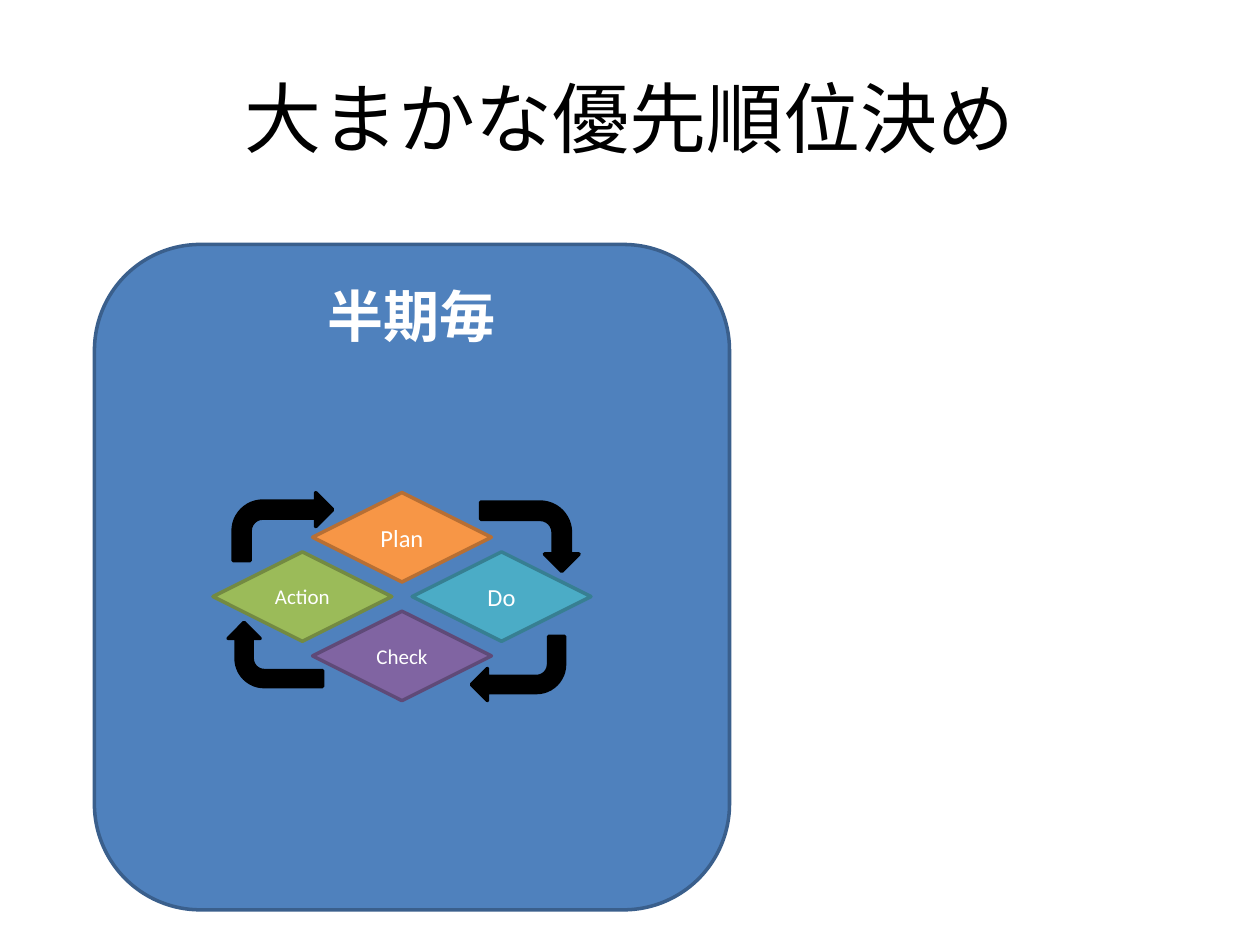
"""Build a slide showing a half-yearly PDCA cycle."""
from pptx import Presentation
from pptx.dml.color import RGBColor
from pptx.enum.shapes import MSO_SHAPE
from pptx.enum.text import MSO_ANCHOR, PP_ALIGN
from pptx.util import Pt

PANEL = MSO_SHAPE.ROUNDED_RECTANGLE
STEP = MSO_SHAPE.FLOWCHART_DECISION
ARROW = MSO_SHAPE.BENT_ARROW
TOP, MIDDLE = MSO_ANCHOR.TOP, MSO_ANCHOR.MIDDLE
CENTER = PP_ALIGN.CENTER

TITLE = "大まかな優先順位決め"
PERIOD = "半期毎"
STEPS = [
    ("Plan", 14, "F79646", "B76F34", 0, -1),
    ("Do", 14, "4BACC6", "377F92", 1, 0),
    ("Check", 12, "8064A2", "5F4A78", 0, 1),
    ("Action", 12, "9BBB59", "738A42", -1, 0),
]
ARROWS = [
    (133.2, 281.5, 56.9, 38.9),
    (283, 278.6, 39.6, 56.2),
    (269.3, 363.6, 53.3, 36.7),
    (139, 347, 36.7, 54),
]
MID_X, MID_Y = 229.7, 340.9
STEP_W, STEP_H = 102.2, 51.1
GAP_X, GAP_Y = 56.9, 33.9


def color(text):
    return RGBColor.from_string(text)


def write(shape, text, size, ink, anchor, bold=False):
    frame = shape.text_frame
    frame.word_wrap = True
    frame.vertical_anchor = anchor
    para = frame.paragraphs[0]
    para.text = text
    para.alignment = CENTER
    font = para.font
    font.name, font.size, font.bold = "Calibri", Pt(size), bold
    font.color.rgb = color(ink)


def draw(slide, kind, box, fill, edge):
    shape = slide.shapes.add_shape(kind, *map(Pt, box))
    shape.shadow.inherit = False
    shape.fill.solid()
    shape.fill.fore_color.rgb = color(fill)
    shape.line.color.rgb = color(edge)
    shape.line.width = Pt(2)
    return shape


def main():
    deck = Presentation()
    deck.slide_width, deck.slide_height = Pt(720), Pt(540)
    slide = deck.slides.add_slide(deck.slide_layouts[5])

    title = slide.shapes.title
    title.left, title.top, title.width, title.height = map(Pt, (36, 21.6, 648, 90))
    write(title, TITLE, 44, "000000", MIDDLE)

    panel = draw(slide, PANEL, (54, 139.7, 362.9, 380.2), "4F81BD", "3A5F8C")
    write(panel, PERIOD, 32, "FFFFFF", TOP, True)

    for text, size, fill, edge, col, row in STEPS:
        left = MID_X + col * GAP_X - STEP_W / 2
        top = MID_Y + row * GAP_Y - STEP_H / 2
        step = draw(slide, STEP, (left, top, STEP_W, STEP_H), fill, edge)
        frame = step.text_frame
        frame.margin_left = frame.margin_right = 0
        frame.margin_top = frame.margin_bottom = 0
        write(step, text, size, "FFFFFF", MIDDLE)

    for turn, box in enumerate(ARROWS):
        arrow = draw(slide, ARROW, box, "000000", "000000")
        arrow.rotation = turn * 90

    deck.save("out.pptx")


if __name__ == "__main__":
    main()
